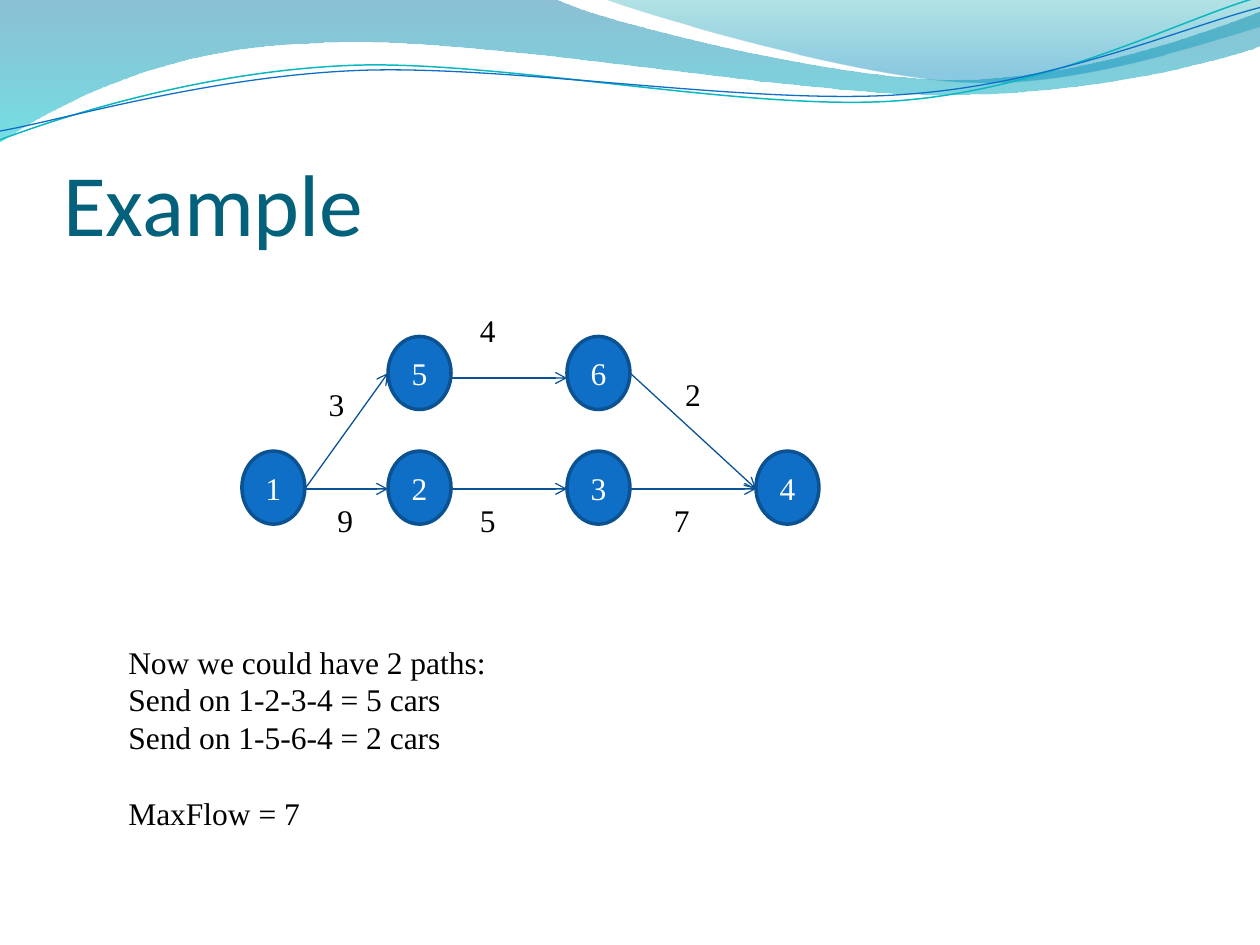
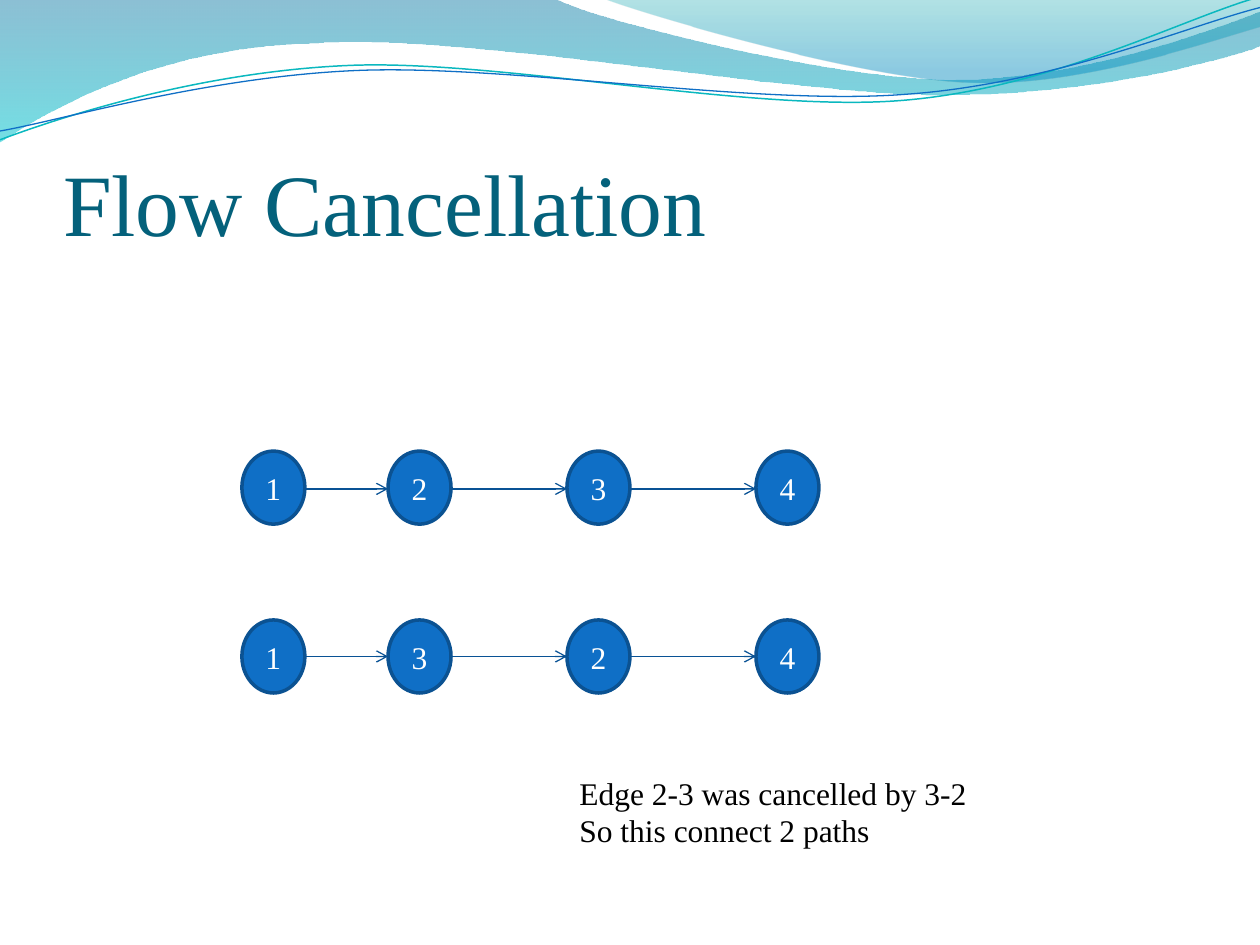
from lxml import etree
from pptx import Presentation
from pptx.dml.color import RGBColor
from pptx.enum.shapes import MSO_CONNECTOR, MSO_SHAPE
from pptx.enum.text import MSO_ANCHOR, MSO_AUTO_SIZE, PP_ALIGN
from pptx.oxml.ns import qn
from pptx.util import Inches, Pt

STRAIGHT = MSO_CONNECTOR.STRAIGHT
OVAL = MSO_SHAPE.OVAL
LEFT, CENTER = PP_ALIGN.LEFT, PP_ALIGN.CENTER
BOTTOM, MIDDLE = MSO_ANCHOR.BOTTOM, MSO_ANCHOR.MIDDLE
NO_AUTOFIT = MSO_AUTO_SIZE.NONE

COLORS = {
    "title": "04617B",
    "text": "000000",
    "node_text": "FFFFFF",
    "node": "0F6FC6",
    "node_line": "0B5292",
    "edge": "095295",
    "wave_top": "0074A1",
    "wave_bottom": "00C6CF",
    "crest_top": "00A1A9",
    "crest_bottom": "008BBF",
    "teal_line": "0AB8BF",
    "blue_line": "0F6FC6",
}
RGB = {role: RGBColor.from_string(value) for role, value in COLORS.items()}
SERIF = "Times New Roman"
LINE_PITCH = Pt(21.6)

NODE_W, NODE_H = 0.5, 0.58
COLUMNS = [1.92, 3.08, 4.5, 6]

# A path is a start point and segments: 2 numbers for a line, 6 for a Bezier curve.
# Band: path, then (position, colour, opacity) for each gradient stop.
BANDS = [
    ((0, 0), [
        (4.4, -0.01),
        (4.76, 0.17, 6.64, 0.63, 7.58, 0.63),
        (8.53, 0.63, 9.58, 0.26, 10, 0.09),
        (10.01, 0.36),
        (9.83, 0.44, 8.7, 0.76, 7.46, 0.75),
        (6.22, 0.75, 3.82, 0.28, 2.57, 0.34),
        (1.29, 0.36, 0.46, 0.83, -0.01, 1.13),
    ], [(0, "wave_top", 45), (1, "wave_bottom", 55)]),
    ((4.79, -0.01), [
        (5.09, 0.11, 6.82, 0.62, 7.69, 0.65),
        (8.56, 0.69, 9.61, 0.32, 10, 0.21),
        (10, 0),
    ], [(0, "crest_top", 30), (0.8, "crest_bottom", 45)]),
]
# Ripple: path, colour, line width.
RIPPLES = [
    ((0, 1.11), [
        (0.48, 0.93, 1.58, 0.57, 2.77, 0.52),
        (3.95, 0.47, 5.93, 0.89, 7.13, 0.8),
        (8.33, 0.71, 9.38, 0.15, 9.98, -0.02),
    ], "teal_line", 0.85),
    ((0, 1.04), [
        (0.47, 0.96, 1.64, 0.61, 2.83, 0.56),
        (4.03, 0.51, 5.97, 0.84, 7.17, 0.75),
        (8.36, 0.67, 9.41, 0.21, 10, 0.06),
    ], "blue_line", 0.75),
]

# Rows of nodes: top, first column, labels. Edges: x1, y1, x2, y2.
SLIDES = [
    {
        "title": "Example",
        "title_font": "Calibri",
        "rows": [(3.58, 0, "1234"), (2.67, 1, "56")],
        "edges": [
            (2.42, 3.88, 3.08, 3.88), (3.58, 3.88, 4.5, 3.88), (5, 3.88, 6, 3.88),
            (2.42, 3.88, 3.08, 2.96), (3.58, 3, 4.5, 3), (5, 2.96, 6, 3.88),
        ],
        "capacities": [
            ("9", 2.58, 3.93), ("5", 3.71, 3.93), ("7", 5.25, 3.93),
            ("3", 2.51, 3.01), ("4", 3.71, 2.42), ("2", 5.34, 2.93),
        ],
        "note_box": (0.92, 5.05, 3.26, 2.22),
        "note": ["Now we could have 2 paths:", "Send on 1-2-3-4 = 5 cars",
                 "Send on 1-5-6-4 = 2 cars", "MaxFlow = 7"],
    },
    {
        "title": "Flow Cancellation",
        "title_font": SERIF,
        "rows": [(3.58, 0, "1234"), (4.92, 0, "1324")],
        "edges": [(left + NODE_W, y, right, y) for y in (3.88, 5.21)
                  for left, right in zip(COLUMNS, COLUMNS[1:])],
        "capacities": [],
        "note_box": (4.5, 6.09, 3.36, 0.71),
        "note": ["Edge 2-3 was cancelled by 3-2", "So this connect 2 paths"],
    },
]


def add_path(shapes, start, segments, close):
    """Draw lines and Bezier curves, in inches, as one freeform."""
    builder = shapes.build_freeform(Inches(start[0]), Inches(start[1]))
    for segment in segments:
        points = zip(segment[::2], segment[1::2])
        builder.add_line_segments([(Inches(x), Inches(y)) for x, y in points], close=False)
    if close:
        builder.add_line_segments([], close=True)
    freeform = builder.convert_to_shape()
    freeform.shadow.inherit = False
    # Each run of three line points that stands for a curve becomes one cubic curve.
    lines = iter(list(freeform.element.iter(qn("a:lnTo"))))
    for segment in segments:
        first = next(lines)
        if len(segment) == 6:
            curve = etree.Element(qn("a:cubicBezTo"))
            first.addprevious(curve)
            for line in (first, next(lines), next(lines)):
                curve.append(line[0])
                line.getparent().remove(line)
    return freeform


def style_text(frame, size, color, font=SERIF, align=LEFT):
    for paragraph in frame.paragraphs:
        paragraph.alignment = align
        for run in paragraph.runs:
            run.font.size = Pt(size)
            run.font.name = font
            run.font.color.rgb = RGB[color]


prs = Presentation()
prs.slide_width, prs.slide_height = Inches(10), Inches(7.5)
layout = prs.slide_layouts[5]
slides = [prs.slides.add_slide(layout) for _ in SLIDES]

# Slides can build freeforms and layouts cannot, so the waves are moved to the layout.
wave_shapes = slides[0].shapes
waves = []
for start, segments, stops in BANDS:
    band = add_path(wave_shapes, start, segments, close=True)
    band.line.fill.background()
    band.fill.gradient()
    band.fill.gradient_angle = 270
    for stop, (position, color, _) in zip(band.fill.gradient_stops, stops):
        stop.position = position
        stop.color.rgb = RGB[color]
    for color_element, (_, _, opacity) in zip(band.element.spPr.iter(qn("a:srgbClr")), stops):
        etree.SubElement(color_element, qn("a:alpha"), val=str(opacity * 1000))
    waves.append(band)
for start, segments, color, width in RIPPLES:
    ripple = add_path(wave_shapes, start, segments, close=False)
    ripple.fill.background()
    ripple.line.color.rgb = RGB[color]
    ripple.line.width = Pt(width)
    waves.append(ripple)
for wave in waves:
    layout.shapes.element.append(wave.element)

for slide, content in zip(slides, SLIDES):
    shapes = slide.shapes
    title = shapes.title
    title.left, title.top = Inches(0.5), Inches(0.77)
    title.width, title.height = Inches(9), Inches(1.25)
    title_frame = title.text_frame
    title_frame.text = content["title"]
    title_frame.vertical_anchor = BOTTOM
    title_frame.auto_size = NO_AUTOFIT
    title_frame.margin_left = title_frame.margin_right = title_frame.margin_bottom = 0
    title_frame.margin_top = Inches(0.05)
    style_text(title_frame, 50, "title", content["title_font"])

    for top, first_column, labels in content["rows"]:
        for left, label in zip(COLUMNS[first_column:], labels):
            node = shapes.add_shape(OVAL, Inches(left), Inches(top),
                                    Inches(NODE_W), Inches(NODE_H))
            node.shadow.inherit = False
            node.fill.solid()
            node.fill.fore_color.rgb = RGB["node"]
            node.line.color.rgb = RGB["node_line"]
            node.line.width = Pt(2)
            node.text_frame.text = label
            node.text_frame.vertical_anchor = MIDDLE
            style_text(node.text_frame, 18, "node_text", align=CENTER)

    for ends in content["edges"]:
        edge = shapes.add_connector(STRAIGHT, *(Inches(value) for value in ends))
        edge.line.color.rgb = RGB["edge"]
        edge.line.width = Pt(0.75)
        edge_properties = edge.element.spPr
        etree.SubElement(edge_properties.find(qn("a:ln")), qn("a:tailEnd"), type="arrow")
        etree.SubElement(edge_properties, qn("a:effectLst"))

    for capacity, left, top in content["capacities"]:
        capacity_box = shapes.add_textbox(Inches(left), Inches(top), Inches(0.33), Inches(0.4))
        capacity_box.text_frame.text = capacity
        style_text(capacity_box.text_frame, 18, "text")

    note_box = shapes.add_textbox(*(Inches(value) for value in content["note_box"]))
    note = note_box.text_frame
    note.word_wrap = True
    note.text = "\n".join(content["note"])
    style_text(note, 18, "text")
    for paragraph in note.paragraphs:
        paragraph.line_spacing = LINE_PITCH
        if paragraph.text.startswith("MaxFlow"):
            paragraph.space_before = LINE_PITCH

prs.save("out.pptx")
